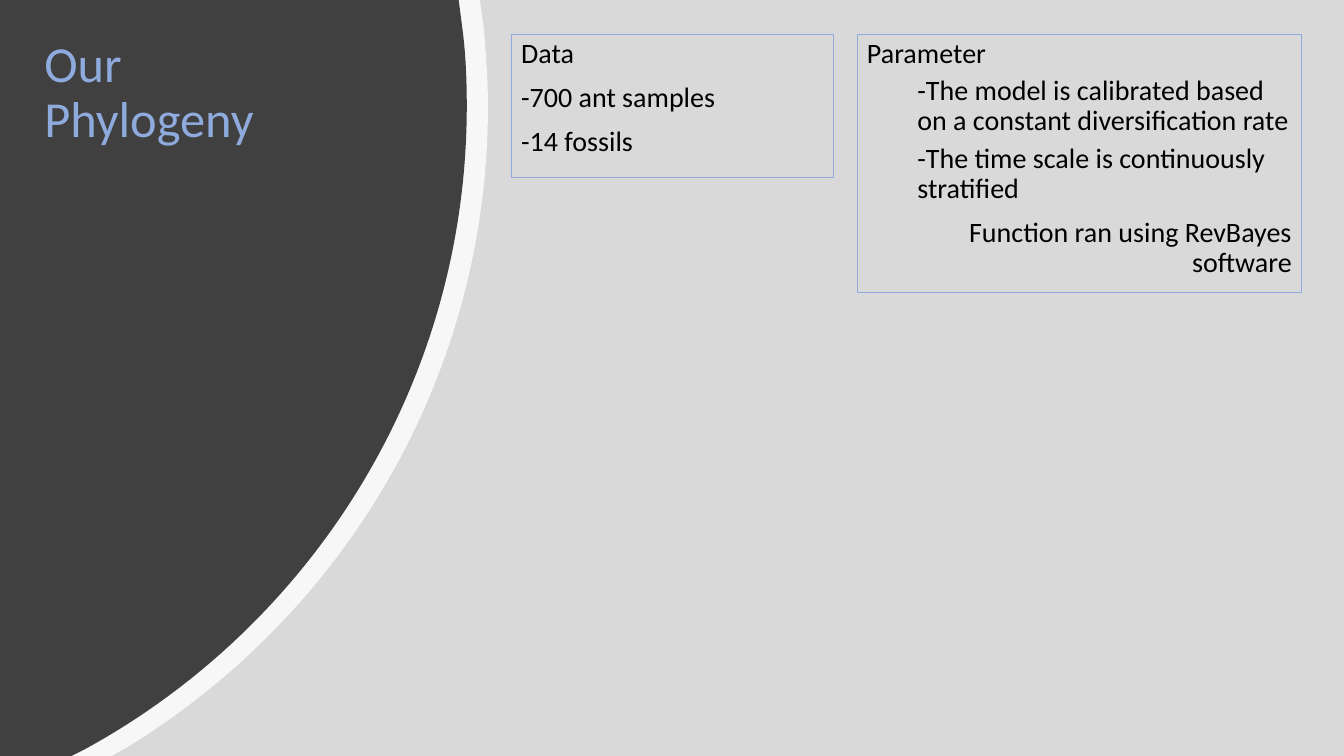
import pptx
import pptx.util
import pptx.dml.color
import pptx.enum.shapes
import pptx.enum.text
import lxml.etree
from pptx.util import Inches

ALIGN = pptx.enum.text.PP_ALIGN
WIDTH, HEIGHT = 13.33, 7.5
TOP = 0.34
BLUE, BLACK, GRAY, CHARCOAL, WHITE = "8FAADC", "000000", "D9D9D9", "404040", "FFFFFF"

TITLE = "Our Phylogeny"
BOXES = [
    {"left": 8.5, "width": 4.41, "height": 2.56, "paragraphs": [
        ("Parameter", {}),
        ("-The model is calibrated based on a constant diversification rate", {"level": 1}),
        ("-The time scale is continuously stratified", {"level": 1}),
        ("Function ran using RevBayes software", {"align": ALIGN.RIGHT}),
    ]},
    {"left": 5.07, "width": 3.2, "height": 1.42, "paragraphs": [
        ("Data", {}),
        ("-700 ant samples", {}),
        ("-14 fossils", {}),
    ]},
]
DISCS = [
    {"color": WHITE, "opacity": 80, "start": [(4.76, 0), (4.8, 0.29)], "curves": [
        [(4.82, 0.54), (4.84, 0.8), (4.84, 1.05)],
        [(4.84, 3.75), (3.4, 6.11), (1.25, 7.42)],
    ], "end": [(1.11, HEIGHT), (0, HEIGHT)]},
    {"color": CHARCOAL, "opacity": 100, "start": [(4.55, 0), (4.59, 0.31)], "curves": [
        [(4.62, 0.55), (4.63, 0.8), (4.63, 1.05)],
        [(4.63, 3.81), (3.09, 6.21), (0.83, 7.44)],
    ], "end": [(0.71, HEIGHT), (0, HEIGHT)]},
]


def rgb(color):
    return pptx.dml.color.RGBColor.from_string(color)


def fill_shape(shape, color, opacity=100):
    shape.shadow.inherit = False
    shape.line.fill.background()
    shape.fill.solid()
    shape.fill.fore_color.rgb = rgb(color)
    if opacity < 100:
        color_element = next(shape._element.spPr.iter(pptx.oxml.ns.qn("a:srgbClr")))
        alpha = lxml.etree.SubElement(color_element, pptx.oxml.ns.qn("a:alpha"))
        alpha.set("val", str(opacity * 1000))


def write_text(paragraph, text, size=20, color=BLACK, align=None, level=0, before=None):
    paragraph.alignment = align or ALIGN.LEFT
    paragraph.line_spacing = 0.9
    paragraph.level = level
    if before is not None:
        paragraph.space_before = pptx.util.Pt(before)
    if level:
        properties = paragraph._p.get_or_add_pPr()
        properties.set("marL", str(Inches(0.5 * level)))
        properties.set("indent", "0")
    run = paragraph.add_run()
    run.text = text
    run.font.name = "Calibri"
    run.font.size = pptx.util.Pt(size)
    run.font.color.rgb = rgb(color)


def bend_lines(shape, first, count):
    lines = list(shape._element.spPr.iter(pptx.oxml.ns.qn("a:lnTo")))
    for start in range(first, first + 3 * count, 3):
        curve = lxml.etree.Element(pptx.oxml.ns.qn("a:cubicBezTo"))
        lines[start].addprevious(curve)
        for line in lines[start:start + 3]:
            curve.append(line[0])
            line.getparent().remove(line)


def add_disc(slide, disc):
    points = disc["start"] + sum(disc["curves"], []) + disc["end"]
    builder = slide.shapes.build_freeform(0, 0)
    builder.add_line_segments([(Inches(x), Inches(y)) for x, y in points], close=True)
    shape = builder.convert_to_shape()
    bend_lines(shape, len(disc["start"]), len(disc["curves"]))
    fill_shape(shape, disc["color"], disc["opacity"])


def add_box(slide, box):
    shape = slide.shapes.add_textbox(
        Inches(box["left"]), Inches(TOP), Inches(box["width"]), Inches(box["height"]))
    shape.line.color.rgb = rgb(BLUE)
    shape.line.width = pptx.util.Pt(0.75)
    frame = shape.text_frame
    frame.word_wrap = True
    for index, (text, options) in enumerate(box["paragraphs"]):
        paragraph = frame.add_paragraph() if index else frame.paragraphs[0]
        write_text(paragraph, text, before=5 if options.get("level") else 10, **options)


presentation = pptx.Presentation()
presentation.slide_width = Inches(WIDTH)
presentation.slide_height = Inches(HEIGHT)
slide = presentation.slides.add_slide(presentation.slide_layouts[5])

backdrop = slide.shapes.add_shape(
    pptx.enum.shapes.MSO_SHAPE.RECTANGLE, 0, 0, Inches(WIDTH), Inches(HEIGHT))
fill_shape(backdrop, GRAY)
for disc in DISCS:
    add_disc(slide, disc)

title = slide.shapes.title
title.left, title.top, title.width, title.height = map(Inches, (0.34, TOP, 3.14, 2.36))
title.text_frame.word_wrap = True
title.text_frame.margin_right = Inches(0.2)
title.text_frame.vertical_anchor = pptx.enum.text.MSO_ANCHOR.TOP
write_text(title.text_frame.paragraphs[0], TITLE, size=36, color=BLUE)
slide.shapes._spTree.append(title._element)

for box in BOXES:
    add_box(slide, box)

presentation.save("out.pptx")
